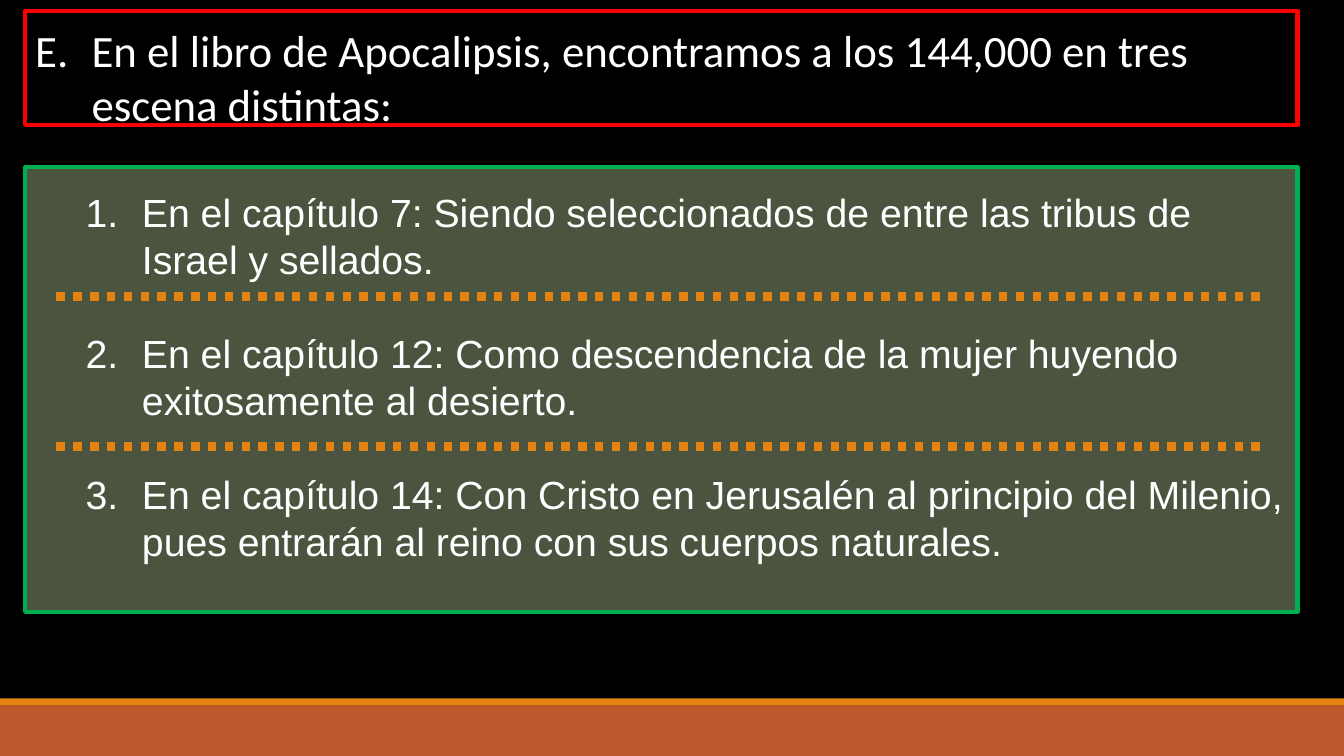
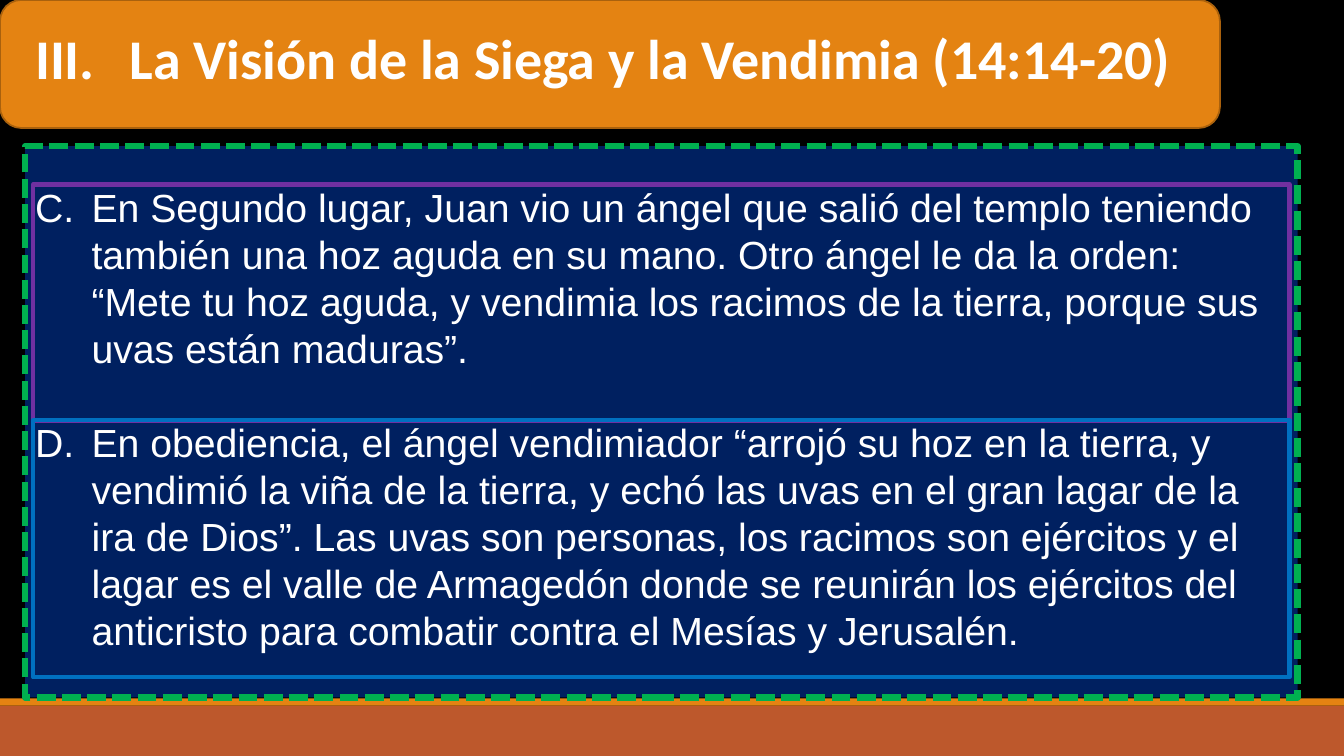
"""Build two Bible study slides with numbered points in framed panels."""
import lxml.etree
import pptx
import pptx.dml.color
import pptx.enum.dml
import pptx.enum.shapes
import pptx.enum.text
import pptx.oxml.ns
import pptx.util

Inches, Pt = pptx.util.Inches, pptx.util.Pt
RGB = pptx.dml.color.RGBColor
SHAPE = pptx.enum.shapes.MSO_SHAPE
DASH = pptx.enum.dml.MSO_LINE
qn = pptx.oxml.ns.qn

BLACK = RGB(0x00, 0x00, 0x00)
WHITE = RGB(0xFF, 0xFF, 0xFF)
RUST = RGB(0xBD, 0x58, 0x2C)
ORANGE = RGB(0xE4, 0x83, 0x12)
DARK_ORANGE = RGB(0xA9, 0x61, 0x0D)
RED = RGB(0xFF, 0x00, 0x00)
GREEN = RGB(0x00, 0xB0, 0x50)
OLIVE = RGB(0x4A, 0x54, 0x3E)
NAVY = RGB(0x00, 0x20, 0x60)
PURPLE = RGB(0x70, 0x30, 0xA0)
BLUE = RGB(0x00, 0x70, 0xC0)

LEFT, WIDTH = 0.25, 12.62
LINE_PITCH = Pt(33.6)
HEADING = {"name": "Calibri", "size": Pt(32), "bold": False}
TITLE = {"name": "Calibri", "size": Pt(40), "bold": True}
BODY = {"name": "Arial", "size": Pt(28), "bold": False}


def add_box(s, box, fill=None, line=None, width=3, dash=None, kind=SHAPE.RECTANGLE):
    sp = s.shapes.add_shape(kind, *map(Inches, box))
    sp.shadow.inherit = False
    if fill is None:
        sp.fill.background()
    else:
        sp.fill.solid()
        sp.fill.fore_color.rgb = fill
    if line is None:
        sp.line.fill.background()
    else:
        sp.line.color.rgb = line
        sp.line.width = Pt(width)
        if dash is not None:
            sp.line.dash_style = dash


def add_list(s, top, height, items, font, scheme, start=1, margin=0.56, hang=0.56, pitch=None):
    tf = s.shapes.add_textbox(*map(Inches, (LEFT, top, WIDTH, height))).text_frame
    tf.word_wrap = True
    tf.auto_size = pptx.enum.text.MSO_AUTO_SIZE.NONE
    for i, item in enumerate(items):
        p = tf.paragraphs[0] if i == 0 else tf.add_paragraph()
        if pitch:
            p.line_spacing = pitch
            p.space_before = pitch if i else Pt(0)
        pPr = p._p.get_or_add_pPr()
        pPr.set("marL", str(Inches(margin)))
        pPr.set("indent", str(-Inches(hang)))
        lxml.etree.SubElement(pPr, qn("a:buFont"), typeface=font["name"])
        lxml.etree.SubElement(pPr, qn("a:buAutoNum"), type=scheme, startAt=str(start))
        r = p.add_run()
        r.text = item
        r.font.color.rgb = WHITE
        for key, value in font.items():
            setattr(r.font, key, value)


prs = pptx.Presentation()
prs.slide_width, prs.slide_height = Inches(13.33), Inches(7.5)
bg = prs.slide_master.background.fill
bg.solid()
bg.fore_color.rgb = BLACK

slides = [prs.slides.add_slide(prs.slide_layouts[6]) for _ in range(2)]
for s in slides:
    add_box(s, (0, 7, 13.33, 0.5), RUST)
    add_box(s, (0, 6.93, 13.33, 0.07), ORANGE)
scenes, harvest = slides

add_list(scenes, 0.18, 1.18, [
    "En el libro de Apocalipsis, encontramos a los 144,000 en tres escena distintas:",
], HEADING, "alphaUcPeriod", start=5)
add_box(scenes, (LEFT, 0.11, WIDTH, 1.13), line=RED)
add_box(scenes, (LEFT, 1.66, WIDTH, 4.41), OLIVE, GREEN)
add_list(scenes, 1.82, 4.41, [
    "En el capítulo 7: Siendo seleccionados de entre las tribus de Israel y sellados.",
    "En el capítulo 12: Como descendencia de la mujer huyendo exitosamente al desierto.",
    "En el capítulo 14: Con Cristo en Jerusalén al principio del Milenio, "
    "pues entrarán al reino con sus cuerpos naturales.",
], BODY, "arabicPeriod", margin=1.06, pitch=LINE_PITCH)
for y in (2.94, 4.43):
    cx = scenes.shapes.add_connector(
        pptx.enum.shapes.MSO_CONNECTOR.STRAIGHT, *map(Inches, (0.56, y, 12.56, y)))
    cx.line.color.rgb = ORANGE
    cx.line.width = Pt(6)
    cx.line.dash_style = DASH.ROUND_DOT
    lxml.etree.SubElement(cx._element.spPr, qn("a:effectLst"))

add_box(harvest, (0, 0, 12.1, 1.27), ORANGE, DARK_ORANGE, 1.25, kind=SHAPE.ROUNDED_RECTANGLE)
add_list(harvest, 0.18, 1.45, ["La Visión de la Siega y la Vendimia (14:14-20)"],
         TITLE, "romanUcPeriod", start=3, margin=0.94, hang=0.94)
add_box(harvest, (LEFT, 1.45, WIDTH, 5.47), NAVY, GREEN, 4.5, DASH.SQUARE_DOT)
add_list(harvest, 1.77, 5, [
    "En Segundo lugar, Juan vio un ángel que salió del templo teniendo también una hoz "
    "aguda en su mano. Otro ángel le da la orden: “Mete tu hoz aguda, y vendimia los "
    "racimos de la tierra, porque sus uvas están maduras”.",
    "En obediencia, el ángel vendimiador “arrojó su hoz en la tierra, y vendimió la viña "
    "de la tierra, y echó las uvas en el gran lagar de la ira de Dios”. Las uvas son "
    "personas, los racimos son ejércitos y el lagar es el valle de Armagedón donde se "
    "reunirán los ejércitos del anticristo para combatir contra el Mesías y Jerusalén.",
], BODY, "alphaUcPeriod", start=3, pitch=LINE_PITCH)
for top, height, color in ((1.83, 2.35, PURPLE), (4.17, 2.55, BLUE)):
    add_box(harvest, (0.33, top, 12.46, height), line=color)

prs.save("out.pptx")
